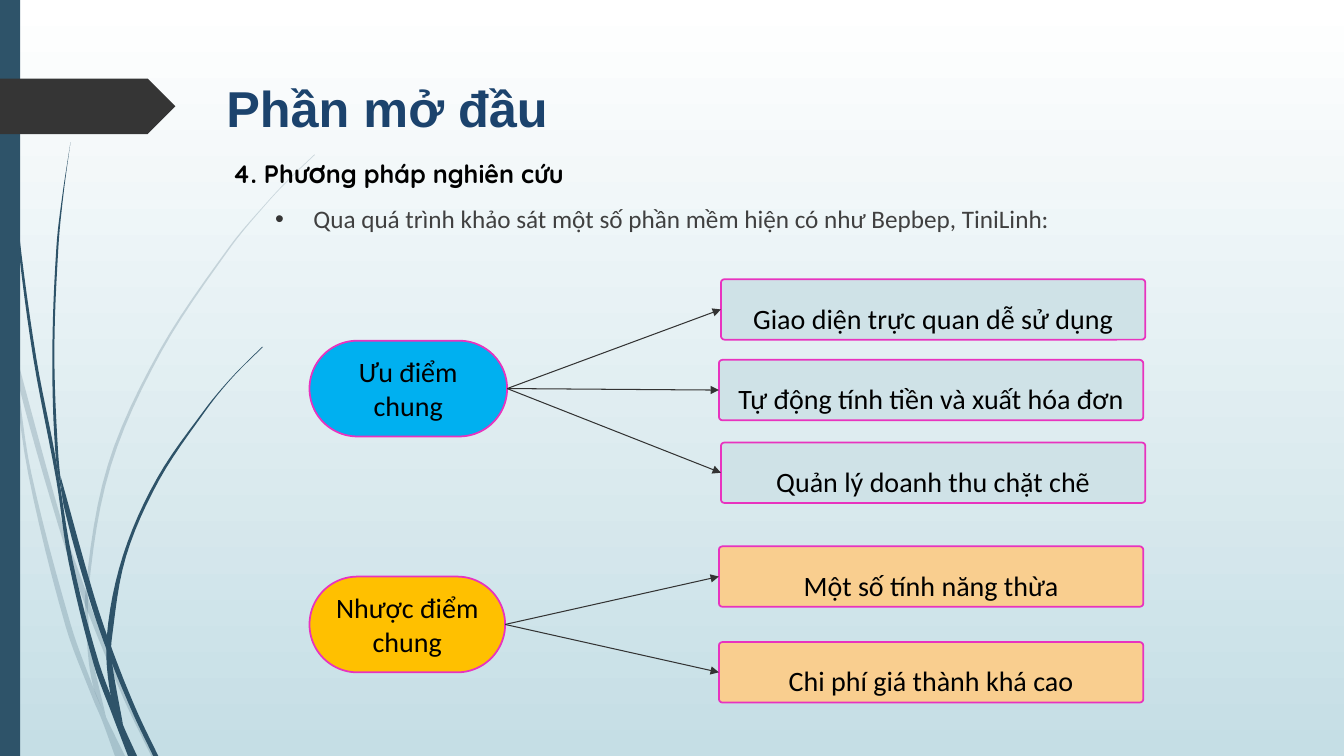
from lxml.etree import SubElement
from pptx import Presentation
from pptx.dml.color import RGBColor
from pptx.enum.shapes import MSO_CONNECTOR, MSO_SHAPE
from pptx.enum.text import MSO_ANCHOR, PP_ALIGN
from pptx.oxml.ns import qn
from pptx.util import Inches, Pt

TEAL = "2E5369"
CHARCOAL = "353535"
BLACK = "000000"
MAGENTA = "E833BF"


def color(value):
    return RGBColor.from_string(value)


def smooth(edge, steps=6):
    """Return points on a cubic curve x(y) through an edge listed from top to bottom."""
    last = len(edge) - 1
    slopes = []
    for i in range(last + 1):
        (x0, y0), (x1, y1) = edge[max(i - 1, 0)], edge[min(i + 1, last)]
        slopes.append((x1 - x0) / (y1 - y0))
    points = [edge[0]]
    for i in range(last):
        (x0, y0), (x1, y1) = edge[i], edge[i + 1]
        height = y1 - y0
        for step in range(1, steps + 1):
            t = step / steps
            blend = t * t * (3 - 2 * t)
            bend = height * t * (1 - t) * ((1 - t) * slopes[i] - t * slopes[i + 1])
            points.append((x0 + (x1 - x0) * blend + bend, y0 + height * t))
    return points


presentation = Presentation()
presentation.slide_width = Inches(13.33)
presentation.slide_height = Inches(7.5)
slide = presentation.slides.add_slide(presentation.slide_layouts[6])
shapes = slide.shapes

background = slide.background.fill
background.gradient()
background.gradient_angle = 270
for stop, value in zip(background.gradient_stops, ("FFFFFF", "C5DEE5")):
    stop.color.rgb = color(value)

# Grass blades: opacity in percent, left edge, right edge
blades = [
    (20,
     [(0, 2.99), (0.1, 3.44), (0.28, 4.7), (0.65, 6.21), (0.92, 6.93), (1.01, 7.14), (1.14, 7.5)],
     [(0, 2.82), (0.09, 3.22), (0.17, 3.76), (0.31, 4.69), (0.7, 6.19), (0.93, 6.83),
      (1.05, 7.11), (1.24, 7.5)]),
    (20,
     [(0.14, 3.45), (0.17, 3.76), (0.58, 5.22), (0.84, 5.99), (1.23, 6.94), (1.5, 7.5)],
     [(0.14, 3.45), (0.62, 5.2), (0.85, 5.86), (0.92, 6.07), (1.27, 6.92), (1.55, 7.5)]),
    (20,
     [(3.12, 1.53), (2.89, 1.75), (2.68, 1.97), (2.28, 2.44), (1.58, 3.48), (1.07, 4.61),
      (0.85, 5.84), (0.87, 6.46), (0.93, 6.83), (1.05, 7.11)],
     [(3.12, 1.54), (2.9, 1.75), (2.68, 1.98), (2.29, 2.45), (1.6, 3.49), (1.1, 4.62),
      (0.88, 5.84), (0.91, 6.46), (1.05, 7.11)]),
    (100,
     [(0.03, 0), (0.04, 0.48), (0.07, 1.1), (0.17, 2.33), (0.33, 3.55), (0.56, 4.77),
      (0.68, 5.57), (0.93, 6.59), (1.11, 7.08), (1.27, 7.5)],
     [(0.04, 0), (0.05, 0.48), (0.08, 1.09), (0.19, 2.32), (0.36, 3.55), (0.55, 4.53),
      (0.72, 5.56), (0.98, 6.57), (1.22, 7.19), (1.36, 7.5)]),
    (100,
     [(0.6, 4.72), (0.64, 5.05), (0.88, 5.92), (1.06, 6.45), (1.32, 7.08), (1.52, 7.5)],
     [(0.6, 4.72), (0.93, 5.9), (1.13, 6.49), (1.36, 7.06), (1.57, 7.5)]),
    (100,
     [(0.7, 1.41), (0.62, 1.93), (0.56, 2.45), (0.52, 3.49), (0.55, 4.49), (0.64, 5.05)],
     [(0.7, 1.41), (0.63, 1.93), (0.58, 2.45), (0.54, 3.49), (0.58, 4.53), (0.64, 5.05)]),
    (100,
     [(2.6, 3.44), (2.31, 3.73), (2.04, 4.05), (1.56, 4.74), (1.22, 5.51), (1.06, 6.31),
      (1.1, 6.91), (1.22, 7.19)],
     [(2.61, 3.44), (2.31, 3.74), (2.05, 4.06), (1.58, 4.76), (1.25, 5.52), (1.11, 6.33),
      (1.11, 6.56), (1.22, 7.19)]),
]
for opacity, left_edge, right_edge in blades:
    outline = [(Inches(x), Inches(y)) for x, y in smooth(left_edge) + smooth(right_edge)[::-1]]
    builder = shapes.build_freeform(*outline[0])
    builder.add_line_segments(outline[1:], close=True)
    blade = builder.convert_to_shape()
    blade.shadow.inherit = False
    blade.fill.solid()
    blade.fill.fore_color.rgb = color(TEAL)
    blade.line.fill.background()
    if opacity < 100:
        fill_color = blade._element.spPr.find(qn("a:solidFill"))[0]
        SubElement(fill_color, qn("a:alpha"), val=str(opacity * 1000))

# Side bar and page marker
for kind, top, width, height, value in [
    (MSO_SHAPE.RECTANGLE, 0, 0.2, 7.5, TEAL),
    (MSO_SHAPE.PENTAGON, 0.78, 1.74, 0.55, CHARCOAL),
]:
    shape = shapes.add_shape(kind, 0, Inches(top), Inches(width), Inches(height))
    shape.shadow.inherit = False
    shape.fill.solid()
    shape.fill.fore_color.rgb = color(value)
    shape.line.fill.background()

# Headings: text, left, top, width, height, font, size, colour, bold
headings = [
    ("Phần mở đầu", 1.63, 0.72, 4.42, 0.9, "Arial", 36, "1C436D", True),
    ("4. Phương pháp nghiên cứu", 2.21, 1.49, 4.2, 0.44, "Quicksand", 18, BLACK, True),
    ("Qua quá trình khảo sát một số phần mềm hiện có như Bepbep, TiniLinh:",
     2.63, 1.97, 9.75, 0.44, "Calibri", 18, "404040", False),
]
paragraphs = []
for text, left, top, width, height, font, size, value, bold in headings:
    box = shapes.add_textbox(Inches(left), Inches(top), Inches(width), Inches(height))
    box.text_frame.word_wrap = True
    paragraph = box.text_frame.paragraphs[0]
    before, horn, after = text.partition("ơ") if font == "Quicksand" else (text, "", "")
    for part, part_size in ((before, size), (horn, 20), (after, size)):
        if part:
            run = paragraph.add_run()
            run.text = part
            run.font.name = font
            run.font.size = Pt(part_size)
            run.font.bold = bold
            run.font.color.rgb = color(value)
    paragraphs.append(paragraph)

title, section, survey = paragraphs
title.alignment = PP_ALIGN.CENTER
properties = survey._p.get_or_add_pPr()
properties.set("marL", str(Inches(0.38)))
properties.set("indent", str(-Inches(0.38)))
bullet_color = SubElement(properties, qn("a:buClr"))
SubElement(bullet_color, qn("a:srgbClr"), val=CHARCOAL)
SubElement(properties, qn("a:buFont"), typeface="Arial")
SubElement(properties, qn("a:buChar"), char="•")

# Each group: text, top, width and fill of the pill, fill of the points, points (text, left, top)
groups = [
    ("Ưu điểm chung", 3.38, 1.96, "00B0F0", "CFE2E7", [
        ("Giao diện trực quan dễ sử dụng", 7.15, 2.77),
        ("Tự động tính tiền và xuất hóa đơn", 7.13, 3.57),
        ("Quản lý doanh thu chặt chẽ", 7.15, 4.39),
    ]),
    ("Nhược điểm chung", 5.72, 1.94, "FFC000", "F9CE8F", [
        ("Một số tính năng thừa", 7.13, 5.42),
        ("Chi phí giá thành khá cao", 7.13, 6.37),
    ]),
]
LEFT_SITE, RIGHT_SITE = 1, 3
for pill_text, pill_top, pill_width, pill_fill, point_fill, points in groups:
    items = [(pill_text, 3.07, pill_top, pill_width, 0.95, pill_fill, 0.5, 1)]
    items += [(text, left, top, 4.21, 0.6, point_fill, 0.06, 1.5) for text, left, top in points]
    boxes = []
    for text, left, top, width, height, fill, rounding, spacing in items:
        box = shapes.add_shape(MSO_SHAPE.ROUNDED_RECTANGLE, Inches(left), Inches(top),
                               Inches(width), Inches(height))
        box.adjustments[0] = rounding
        box.shadow.inherit = False
        box.fill.solid()
        box.fill.fore_color.rgb = color(fill)
        box.line.color.rgb = color(MAGENTA)
        box.line.width = Pt(1.25)
        box.text_frame.text = text
        box.text_frame.word_wrap = True
        box.text_frame.vertical_anchor = MSO_ANCHOR.MIDDLE
        paragraph = box.text_frame.paragraphs[0]
        paragraph.alignment = PP_ALIGN.CENTER
        paragraph.line_spacing = spacing
        font = paragraph.runs[0].font
        font.name = "Calibri"
        font.size = Pt(20)
        font.color.rgb = color(BLACK)
        boxes.append(box)

    pill, *point_boxes = boxes
    for point_box in point_boxes:
        arrow = shapes.add_connector(MSO_CONNECTOR.STRAIGHT, 0, 0, 0, 0)
        arrow.begin_connect(pill, RIGHT_SITE)
        arrow.end_connect(point_box, LEFT_SITE)
        arrow.line.color.rgb = color("333333")
        arrow.line.width = Pt(0.75)
        SubElement(arrow.line._get_or_add_ln(), qn("a:tailEnd"), type="triangle")
        SubElement(arrow._element.spPr, qn("a:effectLst"))

presentation.save("out.pptx")
